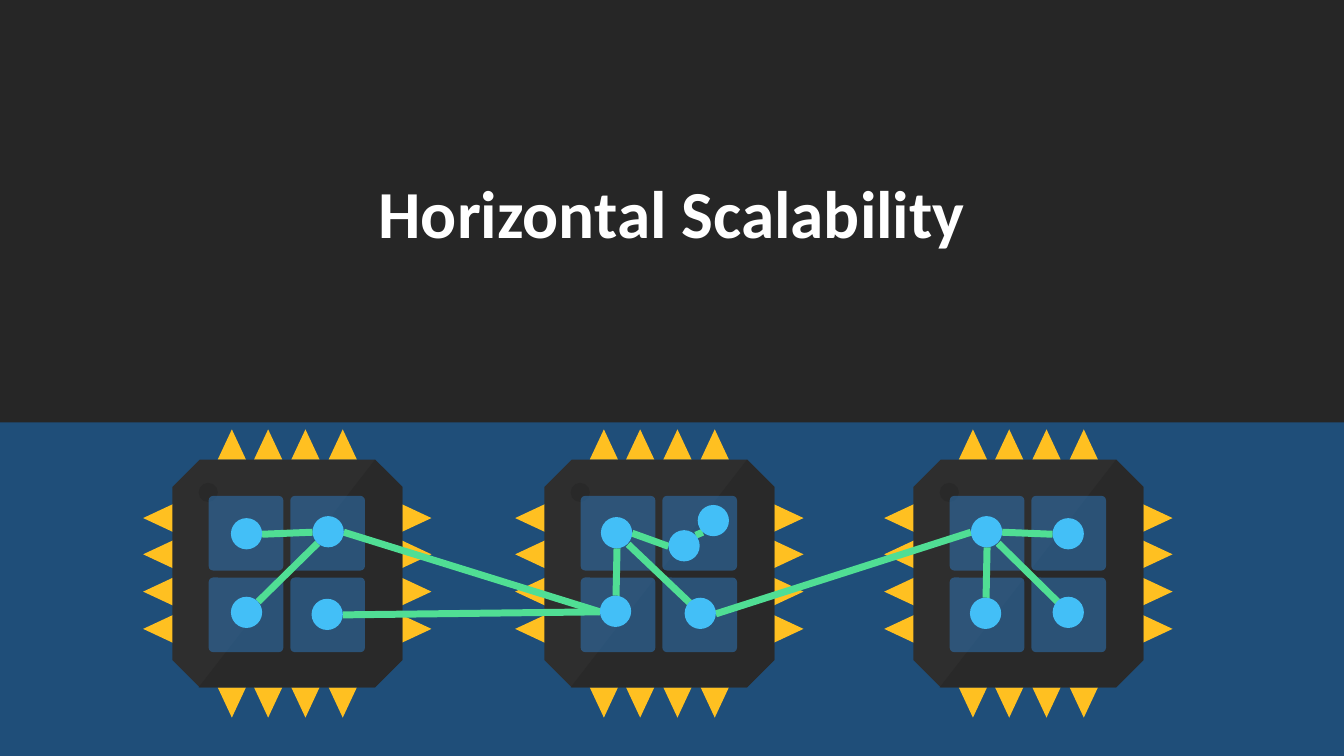
"""Build the Horizontal Scalability slide: three linked processor chips under a title band."""
import pptx
import pptx.util
import pptx.dml.color
import pptx.enum.shapes
import pptx.enum.text
import pptx.oxml.ns
import pptx.oxml.xmlchemy

PX = 9144
COLORS = {
    "background": "1F4E79",
    "band": "262626",
    "pin": "FFC021",
    "body": "2E2E2E",
    "shade": "292929",
    "core": "2E75B6",
    "link": "50DE94",
    "node": "43BFF7",
    "title": "FFFFFF",
}
SHAPES = pptx.enum.shapes.MSO_SHAPE


def paint(shape, color):
    shape.shadow.inherit = False
    shape.fill.solid()
    shape.fill.fore_color.rgb = pptx.dml.color.RGBColor.from_string(COLORS[color])
    shape.line.fill.background()
    return shape


def add_block(container, kind, left, top, width, height, color):
    shape = container.shapes.add_shape(kind, left * PX, top * PX, width * PX, height * PX)
    return paint(shape, color)


presentation = pptx.Presentation()
presentation.slide_width = 1333 * PX
presentation.slide_height = 750 * PX
slide = presentation.slides.add_slide(presentation.slide_layouts[6])
slide.background.fill.solid()
slide.background.fill.fore_color.rgb = pptx.dml.color.RGBColor.from_string(COLORS["background"])

CHIP_TOP = 426
CHIP_SIZE = 286
PIN_LENGTH = 30
PIN_HALF = 14
pins = []
for index in range(4):
    center = 88 + index * 110 // 3
    for tip, base in ((0, PIN_LENGTH), (CHIP_SIZE, CHIP_SIZE - PIN_LENGTH)):
        pins.append([(center, tip), (center + PIN_HALF, base), (center - PIN_HALF, base)])
        pins.append([(tip, center), (base, center + PIN_HALF), (base, center - PIN_HALF)])
shade_outline = [(55, 256), (230, 30), (257, 57), (257, 229), (230, 256)]

for chip_left in (877, 511, 142):
    chip = slide.shapes.add_group_shape()
    for outlines, color in ((pins, "pin"), ([shade_outline], "shade")):
        if color == "shade":
            body = add_block(chip, SHAPES.OCTAGON, chip_left + 29, CHIP_TOP + 30, 228, 226, "body")
            body.adjustments[0] = 0.12
        placed = [[(chip_left + x, CHIP_TOP + y) for x, y in outline] for outline in outlines]
        builder = chip.shapes.build_freeform(*placed[0][0], scale=PX)
        builder.add_line_segments(placed[0][1:], close=True)
        for outline in placed[1:]:
            builder.move_to(*outline[0])
            builder.add_line_segments(outline[1:], close=True)
        paint(builder.convert_to_shape(), color)
    add_block(chip, SHAPES.OVAL, chip_left + 55, CHIP_TOP + 53, 19, 19, "shade")
    for row in range(2):
        for column in range(2):
            core = add_block(chip, SHAPES.ROUNDED_RECTANGLE, chip_left + 65 + column * 81,
                             CHIP_TOP + 66 + row * 81, 74, 74, "core")
            core.adjustments[0] = 0.06
            color_element = core._element.spPr.find(".//" + pptx.oxml.ns.qn("a:srgbClr"))
            alpha = pptx.oxml.xmlchemy.OxmlElement("a:alpha")
            alpha.set("val", "55000")
            color_element.append(alpha)

nodes = {
    "A1": (229, 514), "A2": (310, 512), "A3": (229, 592), "A4": (309, 594),
    "B1": (596, 513), "B2": (663, 526), "B3": (595, 591), "B4": (679, 593), "B5": (692, 501),
    "C1": (963, 512), "C2": (1044, 514), "C3": (962, 593), "C4": (1044, 592),
}
rim = {
    "top": (16, 0), "bottom": (16, 31), "left": (0, 16), "right": (31, 16),
    "top left": (5, 5), "top right": (27, 5), "bottom left": (5, 27), "bottom right": (27, 27),
}
links = [
    ("C1", "left", "B4", "right"),
    ("B3", "left", "A2", "right"),
    ("B3", "left", "A4", "right"),
    ("B1", "bottom", "B3", "top"),
    ("A2", "left", "A1", "right"),
    ("A2", "bottom left", "A3", "top right"),
    ("C1", "bottom", "C3", "top"),
    ("C1", "bottom right", "C4", "top left"),
    ("B1", "bottom right", "B4", "top left"),
    ("C1", "right", "C2", "left"),
    ("B2", "left", "B1", "right"),
    ("B2", "top right", "B5", "bottom left"),
]
network = slide.shapes.add_group_shape()
for start, start_side, end, end_side in links:
    ends = []
    for node, side in ((start, start_side), (end, end_side)):
        ends += [(place + offset) * PX for place, offset in zip(nodes[node], rim[side])]
    link = network.shapes.add_connector(pptx.enum.shapes.MSO_CONNECTOR.STRAIGHT, *ends)
    link.line.color.rgb = pptx.dml.color.RGBColor.from_string(COLORS["link"])
    link.line.width = pptx.util.Pt(5)
    link._element.spPr.append(pptx.oxml.xmlchemy.OxmlElement("a:effectLst"))
for left, top in nodes.values():
    add_block(network, SHAPES.OVAL, left, top, 31, 31, "node")

band = add_block(slide, SHAPES.RECTANGLE, 0, 0, 1333, 419, "band")
band.text_frame.text = "Horizontal Scalability"
band.text_frame.word_wrap = True
band.text_frame.vertical_anchor = pptx.enum.text.MSO_ANCHOR.MIDDLE
paragraph = band.text_frame.paragraphs[0]
paragraph.alignment = pptx.enum.text.PP_ALIGN.CENTER
font = paragraph.runs[0].font
font.name = "Calibri"
font.size = pptx.util.Pt(48)
font.bold = True
font.color.rgb = pptx.dml.color.RGBColor.from_string(COLORS["title"])

presentation.save("out.pptx")
